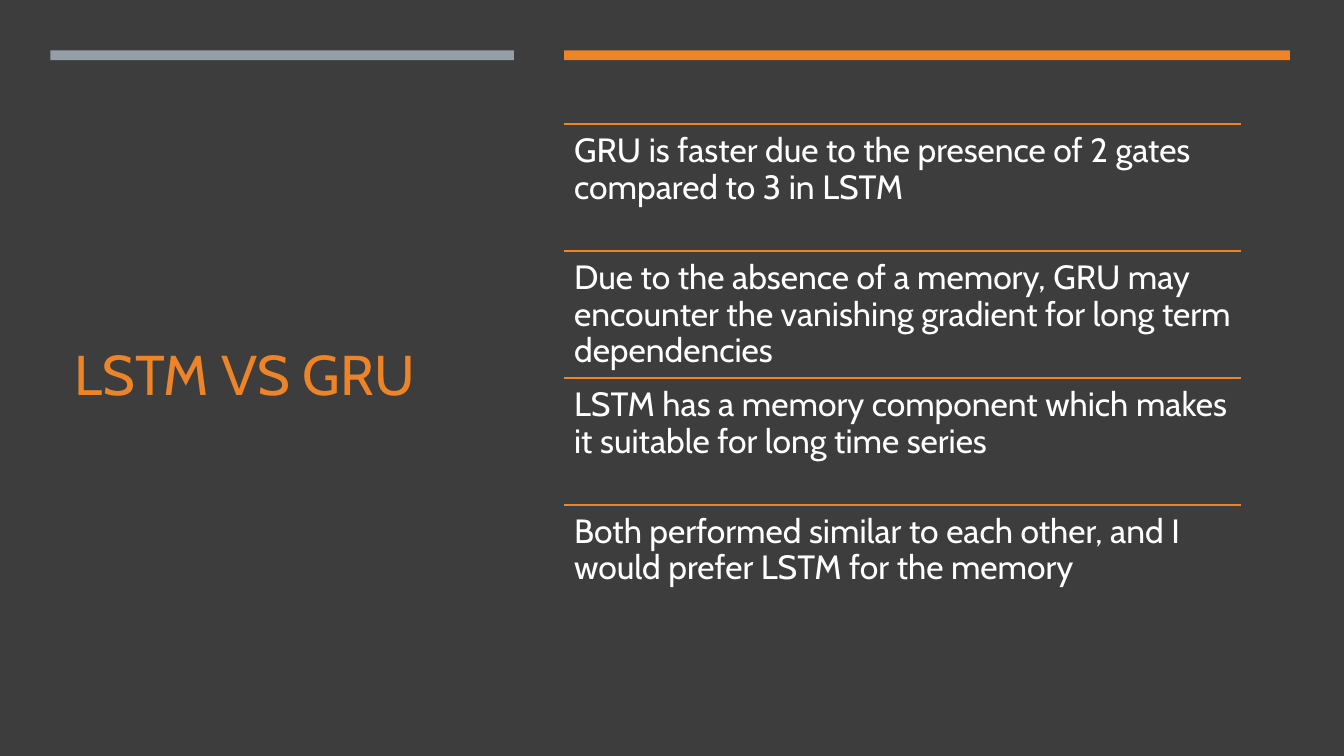
from lxml.etree import SubElement
from pptx import Presentation
from pptx.dml.color import RGBColor
from pptx.enum.shapes import MSO_CONNECTOR, MSO_SHAPE
from pptx.enum.text import MSO_ANCHOR, PP_ALIGN
from pptx.oxml.ns import qn
from pptx.util import Cm, Pt

CHARCOAL = RGBColor(0x3D, 0x3D, 0x3D)
ORANGE = RGBColor(0xED, 0x84, 0x28)
GREY = RGBColor(0x96, 0x9F, 0xA7)
WHITE = RGBColor(0xFF, 0xFF, 0xFF)

POINTS = [
    "GRU is faster due to the presence of 2 gates compared to 3 in LSTM",
    "Due to the absence of a memory, GRU may encounter the vanishing gradient for long term dependencies",
    "LSTM has a memory component which makes it suitable for long time series",
    "Both performed similar to each other, and I would prefer LSTM for the memory",
]
CONTENT_LEFT, CONTENT_TOP = 14.22, 3.12
CONTENT_WIDTH, ROW_HEIGHT = 17.06, 3.2


class ComparisonSlide:
    """Holds the deck style and draws each kind of element on the slide."""

    font_name = "Cabin"
    inset = Cm(0.25)

    def __init__(self, presentation):
        self.slide = presentation.slides.add_slide(presentation.slide_layouts[5])
        self.slide.background.fill.solid()
        self.slide.background.fill.fore_color.rgb = CHARCOAL

    def set_text(self, text_frame, text, size, color, anchor):
        text_frame.text = text
        text_frame.word_wrap = True
        text_frame.vertical_anchor = anchor
        text_frame.margin_left = text_frame.margin_right = self.inset
        text_frame.margin_top = text_frame.margin_bottom = self.inset
        paragraph = text_frame.paragraphs[0]
        paragraph.alignment = PP_ALIGN.LEFT
        paragraph.line_spacing = 0.9
        font = paragraph.runs[0].font
        font.name = self.font_name
        font.size = Pt(size)
        font.color.rgb = color

    def title(self, text, left, top, width, height):
        shape = self.slide.shapes.title
        shape.left, shape.top = Cm(left), Cm(top)
        shape.width, shape.height = Cm(width), Cm(height)
        self.set_text(shape.text_frame, text, 40, ORANGE, MSO_ANCHOR.MIDDLE)

    def bar(self, left, width, color):
        shape = self.slide.shapes.add_shape(
            MSO_SHAPE.RECTANGLE, Cm(left), Cm(1.27), Cm(width), Cm(0.25))
        shape.shadow.inherit = False
        shape.fill.solid()
        shape.fill.fore_color.rgb = color
        shape.line.fill.background()

    def rule(self, left, top, width):
        connector = self.slide.shapes.add_connector(
            MSO_CONNECTOR.STRAIGHT, Cm(left), Cm(top), Cm(left + width), Cm(top))
        connector.line.color.rgb = ORANGE
        connector.line.width = Pt(1.75)
        SubElement(connector.element.spPr, qn("a:effectLst"))

    def point(self, text, left, top, width, height):
        shape = self.slide.shapes.add_textbox(
            Cm(left), Cm(top), Cm(width), Cm(height))
        self.set_text(shape.text_frame, text, 24, WHITE, MSO_ANCHOR.TOP)


def main():
    presentation = Presentation()
    presentation.slide_width, presentation.slide_height = Cm(33.87), Cm(19.05)
    comparison = ComparisonSlide(presentation)
    comparison.title("LSTM VS GRU", 1.63, CONTENT_TOP, 11.33, len(POINTS) * ROW_HEIGHT)
    comparison.bar(1.27, 11.68, GREY)
    comparison.bar(CONTENT_LEFT, 18.29, ORANGE)
    for index, text in enumerate(POINTS):
        top = CONTENT_TOP + index * ROW_HEIGHT
        comparison.rule(CONTENT_LEFT, top, CONTENT_WIDTH)
        comparison.point(text, CONTENT_LEFT, top, CONTENT_WIDTH, ROW_HEIGHT)
    presentation.save("out.pptx")


if __name__ == "__main__":
    main()
